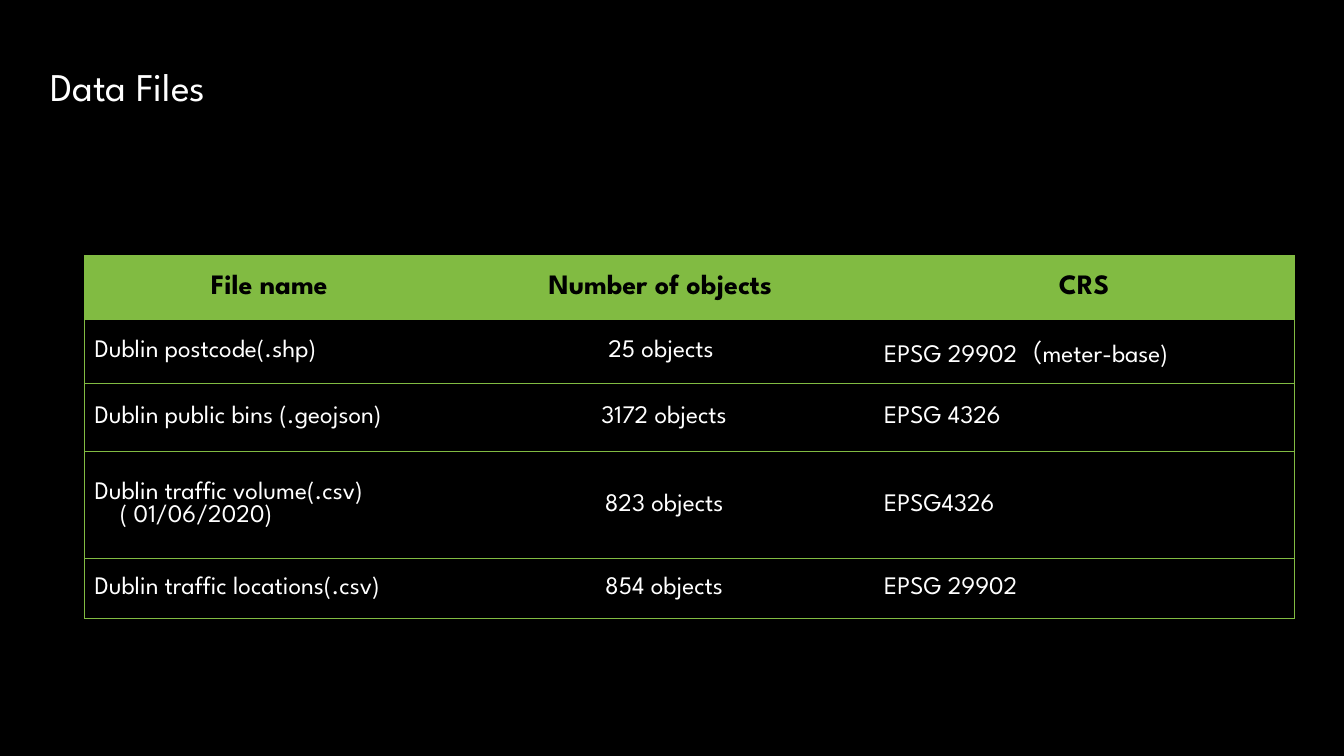
from lxml import etree
from pptx import Presentation
from pptx.dml.color import RGBColor
from pptx.enum.text import MSO_ANCHOR, PP_ALIGN
from pptx.oxml.ns import qn
from pptx.util import Pt

LEFT, CENTER = PP_ALIGN.LEFT, PP_ALIGN.CENTER
MIDDLE = MSO_ANCHOR.MIDDLE
FONT = "League Spartan"
COLORS = {"black": "000000", "white": "FFFFFF", "green": "81BB42"}


def style(p, size, color, bold=False):
    p.font.name, p.font.size, p.font.bold = FONT, Pt(size), bold
    p.font.color.rgb = RGBColor.from_string(COLORS[color])


def add_border(cell, edge, visible):
    ln = etree.SubElement(cell._tc.get_or_add_tcPr(), qn(f"a:ln{edge}"), w=str(Pt(0.75)))
    if visible:
        fill = etree.SubElement(ln, qn("a:solidFill"))
        etree.SubElement(fill, qn("a:srgbClr"), val=COLORS["green"])
    else:
        etree.SubElement(ln, qn("a:noFill"))


prs = Presentation()
prs.slide_width, prs.slide_height = Pt(960), Pt(540)
s = prs.slides.add_slide(prs.slide_layouts[5])
s.background.fill.solid()
s.background.fill.fore_color.rgb = RGBColor.from_string(COLORS["black"])

# Title
title = s.shapes.title
title.left, title.top, title.width, title.height = Pt(28.8), Pt(41), Pt(170), Pt(41)
tf = title.text_frame
tf.text = "Data Files"
tf.vertical_anchor = MIDDLE
tf.paragraphs[0].alignment = LEFT
style(tf.paragraphs[0], 28, "white")

# Table of data files
rows = [
    ("File name", "Number of objects ", "CRS"),
    ("Dublin postcode(.shp)", "25 objects ", "EPSG 29902（meter-base)"),
    ("Dublin public bins (.geojson)", "3172 objects", "EPSG 4326"),
    ("Dublin traffic volume(.csv)\n( 01/06/2020)", "823 objects", "EPSG4326"),
    ("Dublin traffic locations(.csv)", "854 objects", "EPSG 29902"),
]
col_widths = [264, 300, 300]
row_heights = [45.5, 45.5, 49.2, 75.8, 43]
table = s.shapes.add_table(len(rows), len(col_widths), Pt(60.4), Pt(182.6),
                           Pt(sum(col_widths)), Pt(sum(row_heights))).table
for column, width in zip(table.columns, col_widths):
    column.width = Pt(width)

for i, (values, height) in enumerate(zip(rows, row_heights)):
    table.rows[i].height = Pt(height)
    header = i == 0
    for j, value in enumerate(values):
        cell = table.cell(i, j)
        cell.text = value
        cell.vertical_anchor = MIDDLE

        # Outer frame and row rules, no column rules
        for edge, visible in (("L", j == 0), ("R", j == len(values) - 1),
                              ("T", True), ("B", True)):
            add_border(cell, edge, visible)
        if header:
            cell.fill.solid()
            cell.fill.fore_color.rgb = RGBColor.from_string(COLORS["green"])
        else:
            cell.fill.background()

        for k, p in enumerate(cell.text_frame.paragraphs):
            p.alignment = CENTER if header or j == 1 else LEFT
            if k > 0:  # the date is indented under its file name
                p._p.get_or_add_pPr().set("marL", str(Pt(18)))
            if header:
                style(p, 20, "black", bold=True)
            else:
                style(p, 18, "white")

prs.save("out.pptx")
